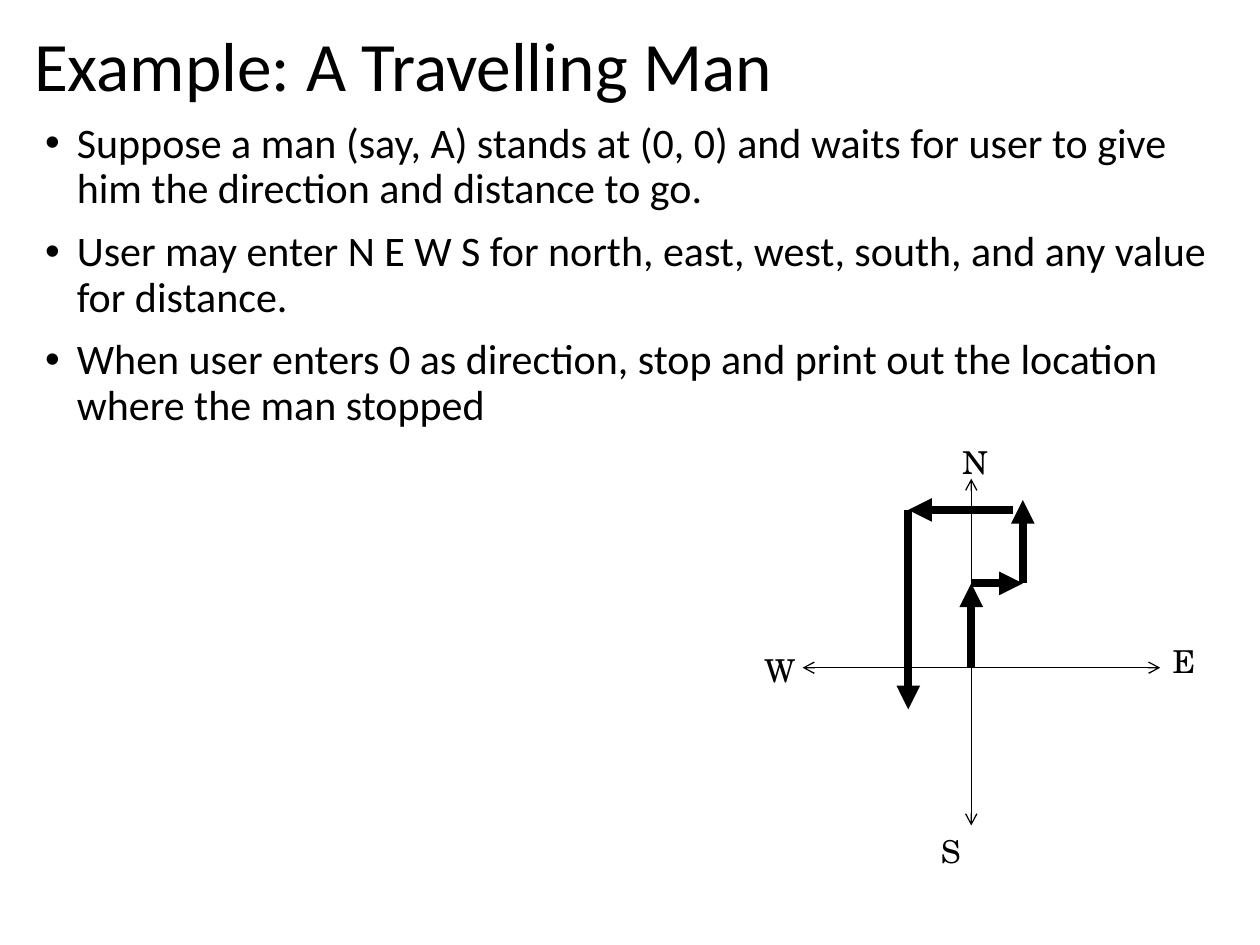
from lxml import etree
from pptx import Presentation
from pptx.dml.color import RGBColor
from pptx.enum.shapes import MSO_CONNECTOR
from pptx.enum.text import MSO_ANCHOR
from pptx.oxml.ns import qn
from pptx.util import Cm, Pt

STRAIGHT = MSO_CONNECTOR.STRAIGHT
TOP, MIDDLE = MSO_ANCHOR.TOP, MSO_ANCHOR.MIDDLE
BLACK = "000000"
SANS, SERIF = "Calibri", "TeX Gyre Schola"

TITLE = "Example: A Travelling Man"
BULLETS = [
    "Suppose a man (say, A) stands at (0, 0) and waits for user to give him the direction and distance to go.",
    "User may enter N E W S for north, east, west, south, and any value for distance.",
    "When user enters 0 as direction, stop and print out the location where the man stopped",
]
AXES = [((0, -3.81), (0, 3.18)), ((-3.4, 0), (3.81, 0))]
LABELS = [("N", -0.43, -4.65, 2.11), ("E", 3.81, -0.64, 1.47),
          ("S", -0.86, 3.18, 2.11), ("W", -4.42, -0.46, 2.11)]
WALK = [((0, 0), (0, -1.7)), ((1.04, -1.7), (1.04, -3.38)),
        ((0.84, -3.18), (-1.27, -3.18)), ((0, -1.7), (1.04, -1.7)),
        ((-1.27, -3.18), (-1.27, 0.84))]


def color(value):
    """Turn a hex string into a colour."""
    return RGBColor.from_string(value)


def add_frame(s, box, anchor=TOP):
    """Add a wrapping text box and return its text frame."""
    tf = s.shapes.add_textbox(*(Cm(v) for v in box)).text_frame
    tf.word_wrap = True
    tf.vertical_anchor = anchor
    return tf


def add_run(p, text, font, size):
    """Append one styled run to a paragraph."""
    r = p.add_run()
    r.text = text
    r.font.name = font
    r.font.size = Pt(size)
    r.font.color.rgb = color(BLACK)


def add_arrow(s, origin, start, end, width, **ends):
    """Draw a line between two points relative to the origin, with arrowheads."""
    points = [Cm(o + v) for point in (start, end) for o, v in zip(origin, point)]
    sp = s.shapes.add_connector(STRAIGHT, *points)
    sp.line.color.rgb = color(BLACK)
    sp.line.width = Pt(width)
    ln = sp.line._get_or_add_ln()
    for tag, kind in ends.items():
        etree.SubElement(ln, qn(f"a:{tag}"), type=kind)
    etree.SubElement(sp._element.spPr, qn("a:effectLst"))


def add_title(s, box):
    """Write the slide title."""
    p = add_frame(s, box, MIDDLE).paragraphs[0]
    p.line_spacing = 0.9
    add_run(p, TITLE, SANS, 39.6)


def add_bullets(s, box):
    """Write the bulleted explanation with hanging indents."""
    tf = add_frame(s, box)
    for i, text in enumerate(BULLETS):
        p = tf.add_paragraph() if i else tf.paragraphs[0]
        p.line_spacing = 0.9
        p.space_before = Pt(10)
        pPr = p._p.get_or_add_pPr()
        pPr.set("marL", str(Cm(0.64)))
        pPr.set("indent", str(-Cm(0.64)))
        etree.SubElement(pPr, qn("a:buFont"), typeface="Arial")
        etree.SubElement(pPr, qn("a:buChar"), char="•")
        add_run(p, text, SANS, 24)


def add_compass(s, box):
    """Draw the compass axes, their labels and the walked route."""
    left, top, width, height = box
    origin = x, y = left + 4.42, top + 4.65
    for start, end in AXES:
        add_arrow(s, origin, start, end, 0.75, headEnd="arrow", tailEnd="arrow")
    for text, dx, dy, w in LABELS:
        tf = add_frame(s, (x + dx, y + dy, w, 1.02))
        add_run(tf.paragraphs[0], text, SERIF, 18)
    for start, end in WALK:
        add_arrow(s, origin, start, end, 4.5, tailEnd="triangle")


def main():
    """Build and save the slide."""
    prs = Presentation()
    prs.slide_width, prs.slide_height = Cm(25.4), Cm(19.05)
    s = prs.slides.add_slide(prs.slide_layouts[6])
    add_bullets(s, (0.66, 2.34, 24.2, 12.7))
    add_compass(s, (15.16, 8.81, 9.7, 8.84))
    add_title(s, (0.44, 0.46, 24.42, 1.88))
    prs.save("out.pptx")


if __name__ == "__main__":
    main()
